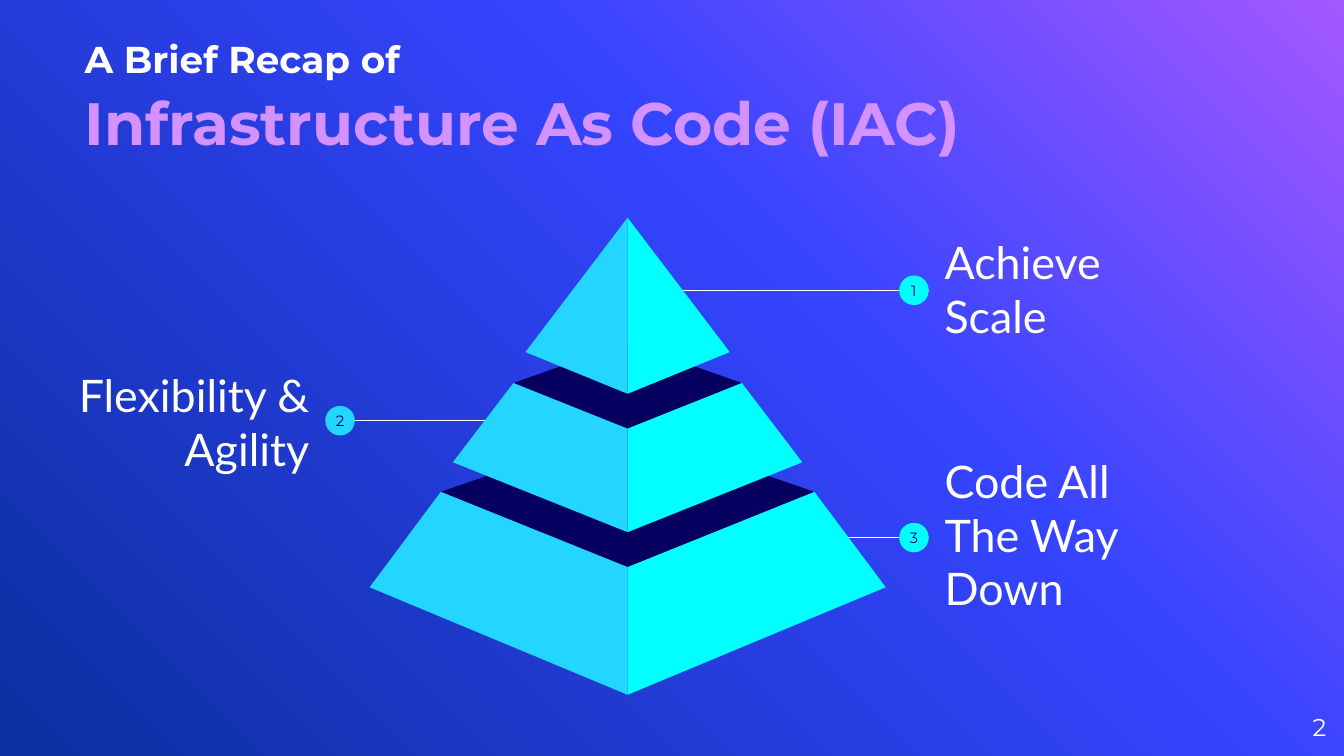
from copy import deepcopy
from dataclasses import dataclass

from lxml import etree
from pptx import Presentation
from pptx.dml.color import RGBColor
from pptx.enum.shapes import MSO_CONNECTOR, MSO_SHAPE
from pptx.enum.text import MSO_ANCHOR, MSO_AUTO_SIZE, PP_ALIGN
from pptx.oxml.ns import qn
from pptx.util import Inches, Pt

LEFT, CENTER, RIGHT = PP_ALIGN.LEFT, PP_ALIGN.CENTER, PP_ALIGN.RIGHT
MIDDLE, BOTTOM = MSO_ANCHOR.MIDDLE, MSO_ANCHOR.BOTTOM
NO_FIT = MSO_AUTO_SIZE.NONE
STRAIGHT, OVAL = MSO_CONNECTOR.STRAIGHT, MSO_SHAPE.OVAL


@dataclass(frozen=True)
class Theme:
    white: str = "FFFFFF"
    lilac: str = "D392FF"
    navy: str = "050060"
    sky: str = "24D6FF"
    cyan: str = "00FFFF"
    gradient: tuple = ((0, "A458FF"), (0.39, "3544FF"), (1, "0A2F9E"))
    heading: str = "Montserrat"
    body: str = "Lato"
    kicker_size: int = 20
    title_size: int = 32
    label_size: int = 24
    page_size: int = 13
    badge_size: int = 8


T = Theme()
AXIS = 4.67
BADGE = 0.22
LABEL_W, LABEL_H = 2.04, 1.51

TIERS = (
    dict(top_half=1.39, top_edge=3.66, top_mid=4.22,
         base_half=1.92, base_edge=4.37, base_mid=5.17, back=3.18),
    dict(top_half=0.85, top_edge=2.85, top_mid=3.19,
         base_half=1.3, base_edge=3.44, base_mid=3.96, back=2.55),
    dict(top_half=0, top_edge=1.62, top_mid=1.62,
         base_half=0.76, base_edge=2.62, base_mid=2.93, back=None),
)

CALLOUTS = (
    dict(number="3", text="Code All The Way Down", line=(6.27, 6.91), y=4,
         badge_x=6.8, label=(6.93, 3.22), align=LEFT, color=T.cyan),
    dict(number="2", text="Flexibility & Agility", line=(3.64, 2.5), y=3.13,
         badge_x=2.53, label=(0.36, 2.38), align=RIGHT, color=T.sky),
    dict(number="1", text="Achieve Scale", line=(5.03, 6.91), y=2.16,
         badge_x=6.8, label=(6.93, 1.39), align=LEFT, color=T.cyan),
)


def set_background(s):
    fill = s.background.fill
    fill.gradient()
    fill.gradient_angle = 225
    first = fill.gradient_stops[0]._gs
    first.addnext(deepcopy(first))
    for stop, (position, color) in zip(fill.gradient_stops, T.gradient):
        stop.position = position
        stop.color.rgb = RGBColor.from_string(color)


def set_frame(tf, anchor, margin=0):
    values = dict(word_wrap=True, auto_size=NO_FIT, vertical_anchor=anchor,
                  margin_left=Inches(margin), margin_right=Inches(margin),
                  margin_top=Inches(margin), margin_bottom=Inches(margin))
    for name, value in values.items():
        setattr(tf, name, value)


def add_run(p, text, font, size, color, bold=False):
    r = p.add_run()
    r.text = text
    for name, value in dict(name=font, size=Pt(size), bold=bold).items():
        setattr(r.font, name, value)
    r.font.color.rgb = RGBColor.from_string(color)


def add_title(s):
    sp = s.shapes.title
    box = dict(left=0.63, top=0.23, width=6.58, height=0.94)
    for name, value in box.items():
        setattr(sp, name, Inches(value))
    set_frame(sp.text_frame, BOTTOM)
    p = sp.text_frame.paragraphs[0]
    p.alignment = LEFT
    add_run(p, "A Brief Recap of", T.heading, T.kicker_size, T.white, True)
    add_run(p, " ", T.heading, T.title_size, T.white, True)
    p.add_line_break()
    br = p._p.find(qn("a:br"))
    rpr = etree.SubElement(br, qn("a:rPr"), sz=str(T.title_size * 100))
    etree.SubElement(rpr, qn("a:latin"), typeface=T.heading)
    add_run(p, "Infrastructure As Code (IAC)", T.heading, T.title_size,
            T.lilac, True)


def add_text(s, box, text, font, size, align, margin=0):
    sp = s.shapes.add_textbox(*map(Inches, box))
    set_frame(sp.text_frame, MIDDLE, margin)
    p = sp.text_frame.paragraphs[0]
    p.alignment = align
    add_run(p, text, font, size, T.white)


def paint(sp, color):
    sp.shadow.inherit = False
    sp.fill.solid()
    sp.fill.fore_color.rgb = RGBColor.from_string(color)
    sp.line.fill.background()


def add_line(s, x1, x2, y):
    line = s.shapes.add_connector(STRAIGHT, *map(Inches, (x1, y, x2, y)))
    line.line.color.rgb = RGBColor.from_string(T.white)
    line.line.width = Pt(0.75)
    etree.SubElement(line._element.spPr, qn("a:effectLst"))


def add_badge(s, x, y, number, color):
    box = (x - BADGE / 2, y - BADGE / 2, BADGE, BADGE)
    sp = s.shapes.add_shape(OVAL, *map(Inches, box))
    paint(sp, color)
    set_frame(sp.text_frame, MIDDLE)
    p = sp.text_frame.paragraphs[0]
    p.alignment = CENTER
    add_run(p, number, T.heading, T.badge_size, T.navy)


def add_callout(s, number, text, line, y, badge_x, label, align, color):
    add_line(s, *line, y)
    add_text(s, (*label, LABEL_W, LABEL_H), text, T.body, T.label_size,
             align, 0.1)
    add_badge(s, badge_x, y, number, color)


def add_polygon(s, points, color):
    start, *rest = [(Inches(x), Inches(y)) for x, y in points]
    builder = s.shapes.build_freeform(*start)
    builder.add_line_segments(rest, close=True)
    paint(builder.convert_to_shape(), color)


def add_tier(s, top_half, top_edge, top_mid, base_half, base_edge, base_mid,
             back):
    if back is not None:
        add_polygon(s, ((AXIS - top_half, top_edge), (AXIS, top_mid),
                        (AXIS + top_half, top_edge), (AXIS, back)), T.navy)
    for side, color in ((-1, T.sky), (1, T.cyan)):
        points = [(AXIS + side * top_half, top_edge),
                  (AXIS + side * base_half, base_edge), (AXIS, base_mid)]
        if top_half:
            points.append((AXIS, top_mid))
        add_polygon(s, points, color)


def main():
    prs = Presentation()
    prs.slide_width = Inches(10)
    prs.slide_height = prs.slide_width * 9 // 16
    s = prs.slides.add_slide(prs.slide_layouts[5])
    set_background(s)
    add_title(s)
    add_text(s, (9.27, 5.19, 0.6, 0.43), "2", T.heading, T.page_size, RIGHT)
    for callout in CALLOUTS:
        add_callout(s, **callout)
    for tier in TIERS:
        add_tier(s, **tier)
    prs.save("out.pptx")


main()
